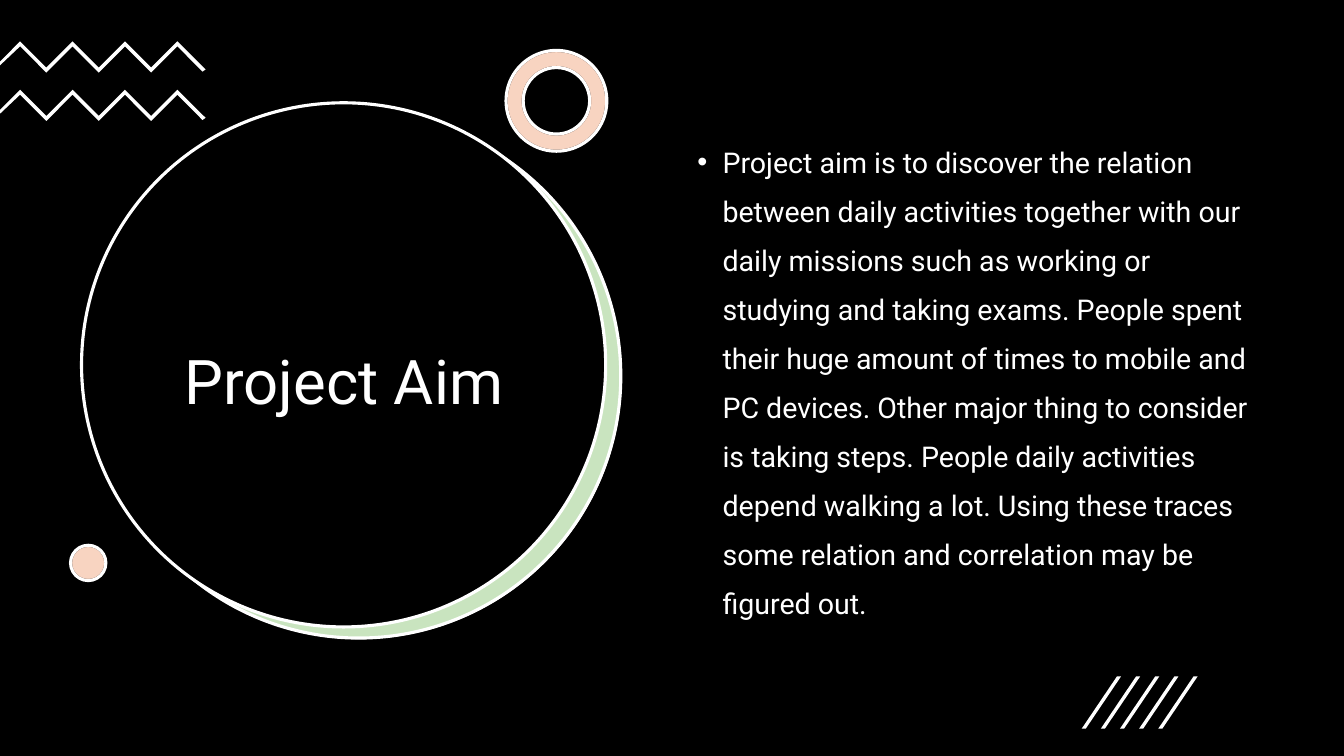
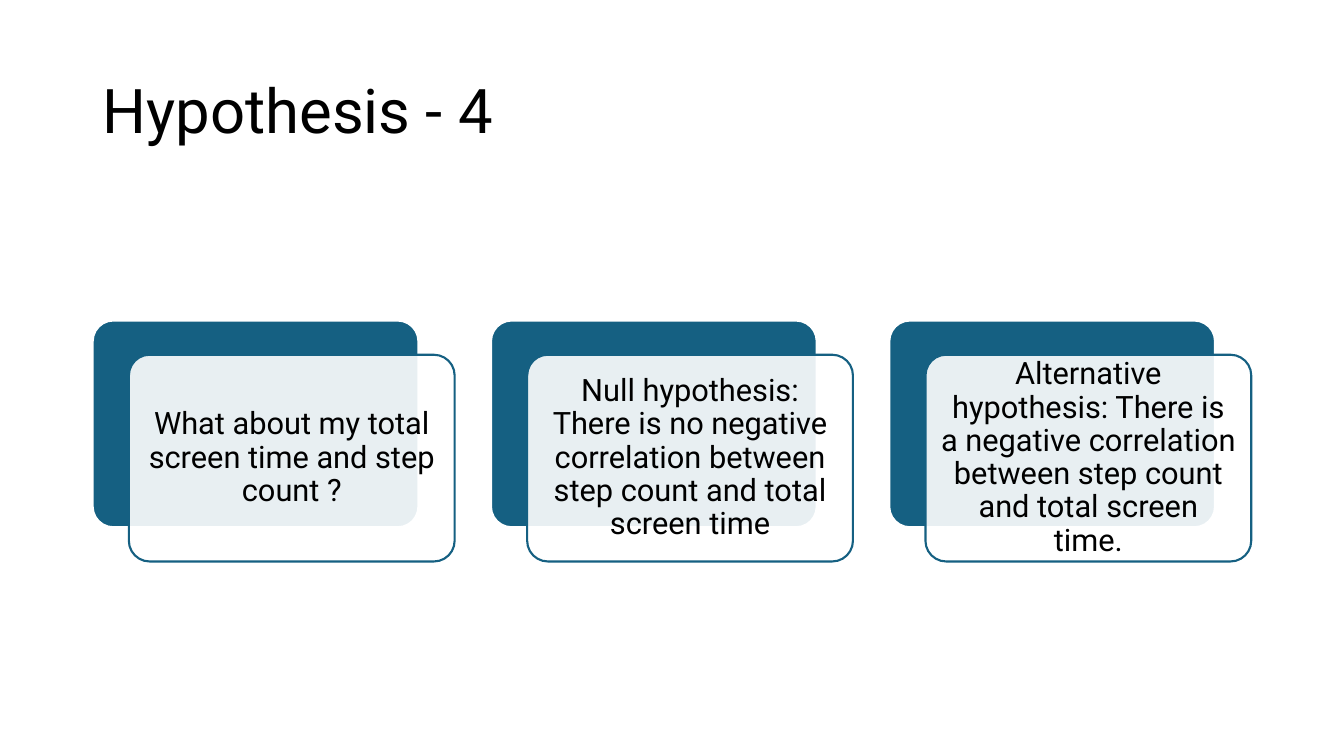
from dataclasses import dataclass

from lxml.etree import SubElement
from pptx import Presentation
from pptx.dml.color import RGBColor
from pptx.enum.shapes import MSO_SHAPE
from pptx.enum.text import MSO_ANCHOR, PP_ALIGN
from pptx.oxml.ns import qn
from pptx.util import Inches, Pt

FONT = "Roboto"
BLACK, WHITE = "000000", "FFFFFF"
BLUE, GREEN, ORANGE = "156082", "4EA72E", "E97132"
OUTLINE = 2.25
TITLE = {"size": 44, "line_spacing": 0.9, "anchor": MSO_ANCHOR.MIDDLE}
AIM = (
    "Project aim is to discover the relation between daily activities together "
    "with our daily missions such as working or studying and taking exams. "
    "People spent their huge amount of times to mobile and PC devices. Other "
    "major thing to consider is taking steps. People daily activities depend "
    "walking a lot. Using these traces some relation and correlation may be "
    "figured out."
)
HYPOTHESES = [
    "What about my total screen time and step count ?",
    "Null hypothesis: There is no negative correlation between step count and total screen time",
    "Alternative hypothesis: There is a negative correlation between step count and total screen time.",
]


@dataclass
class Box:
    """A region in EMU, divided into 100 columns and 100 rows."""

    left: int
    top: int
    width: int
    height: int

    def point(self, column, row):
        """Return the EMU position of a grid point."""
        return (
            round(self.left + self.width * column / 100),
            round(self.top + self.height * row / 100),
        )

    def area(self, column, row, columns, rows):
        """Return the region covering the given columns and rows."""
        size = round(self.width * columns / 100), round(self.height * rows / 100)
        return Box(*self.point(column, row), *size)

    def bounds(self):
        """Return left, top, width and height."""
        return self.left, self.top, self.width, self.height


def color(hex_text):
    """Turn a hex string into a colour."""
    return RGBColor.from_string(hex_text)


def paint(shape, fill, line=None, width=OUTLINE, opacity=100):
    """Give a shape its fill, outline and opacity, without a shadow."""
    shape.shadow.inherit = False
    shape.fill.solid()
    shape.fill.fore_color.rgb = color(fill)
    if opacity < 100:
        tint = shape.element.spPr.find(qn("a:solidFill")).find(qn("a:srgbClr"))
        SubElement(tint, qn("a:alpha"), val=str(opacity * 1000))
    if line:
        shape.line.color.rgb = color(line)
        shape.line.width = Pt(width)
    else:
        shape.line.fill.background()


def add_figure(slide, kind, box, fill, adjustment=None, **style):
    """Add a painted preset shape."""
    shape = slide.shapes.add_shape(kind, *box.bounds())
    if adjustment is not None:
        shape.adjustments[0] = adjustment
    paint(shape, fill, **style)
    return shape


def add_polygon(slide, box, points, fill):
    """Add a closed outline through grid points of the box."""
    start, *others = [box.point(*point) for point in points]
    builder = slide.shapes.build_freeform(*start)
    builder.add_line_segments(others, close=True)
    paint(builder.convert_to_shape(), fill)


def write(shape, text, size, ink=BLACK, align=PP_ALIGN.LEFT, anchor=MSO_ANCHOR.TOP,
          line_spacing=1.0, margin=None, bullet=False):
    """Put formatted text into a shape."""
    frame = shape.text_frame
    frame.word_wrap = True
    frame.vertical_anchor = anchor
    if margin is not None:
        frame.margin_left = frame.margin_right = Inches(margin)
        frame.margin_top = frame.margin_bottom = Inches(margin)
    paragraph = frame.paragraphs[0]
    paragraph.alignment = align
    paragraph.line_spacing = line_spacing
    run = paragraph.add_run()
    run.text = text
    run.font.name = FONT
    run.font.size = Pt(size)
    run.font.color.rgb = color(ink)
    if bullet:
        properties = paragraph._p.get_or_add_pPr()
        properties.set("marL", str(Inches(0.25)))
        properties.set("indent", str(-Inches(0.25)))
        SubElement(properties, qn("a:buFont"), typeface="Arial")
        SubElement(properties, qn("a:buChar"), char="•")


def add_text(slide, box, text, **style):
    """Add a text box."""
    write(slide.shapes.add_textbox(*box.bounds()), text, **style)


def add_pastel(slide, kind, box, adjustment=None):
    """Add a translucent orange figure on a white base."""
    add_figure(slide, kind, box, WHITE, adjustment, line=BLACK)
    add_figure(slide, kind, box, ORANGE, adjustment, line=WHITE, opacity=30)


def add_title_disc(slide, box, title):
    """Draw the black disc with its green crescent and the title."""
    discs = [
        (2.99, 2.26, WHITE, {}),
        (2.8, 2.07, GREEN, {"line": WHITE, "opacity": 30}),
        (0, 0, BLACK, {"line": WHITE}),
    ]
    for column, row, fill, style in discs:
        disc = box.area(column, row, 97.01, 97.74)
        add_figure(slide, MSO_SHAPE.OVAL, disc, fill, **style)
    add_text(slide, box.area(7.46, 19.36, 82.28, 66.17), title,
             ink=WHITE, align=PP_ALIGN.CENTER, **TITLE)


def add_zigzags(slide, box):
    """Draw two zigzag bands, one above the other."""
    corners = [(9.8 + 12.75 * index, 84 * (index % 2)) for index in range(7)]
    lower = [(column, row + 16) for column, row in reversed(corners)]
    outline = [*corners, (100, 90), (98.5, 97), *lower, (0, 77), (0, 65)]
    for row in (0, 60.76):
        add_polygon(slide, box.area(0, row, 100, 39.24), outline, WHITE)


def add_stripes(slide, box, count=5):
    """Draw a row of slanted stripes."""
    for index in range(count):
        left = 16.5 * index
        outline = [(left + 3.5, 100), (left, 100), (left + 30.5, 0), (left + 34, 0)]
        add_polygon(slide, box, outline, WHITE)


def add_card(slide, box, text):
    """Draw a blue card with a translucent text card over it."""
    add_figure(slide, MSO_SHAPE.ROUNDED_RECTANGLE, box.area(0, 0, 90, 85.8),
               BLUE, 0.1, line=WHITE, width=1.5)
    front = add_figure(slide, MSO_SHAPE.ROUNDED_RECTANGLE, box.area(10, 14.2, 90, 85.8),
                       WHITE, 0.1, line=BLUE, width=1.5, opacity=90)
    write(front, text, 22, align=PP_ALIGN.CENTER, anchor=MSO_ANCHOR.MIDDLE,
          line_spacing=0.9, margin=0.09)


def add_cards(slide, box, texts):
    """Set the cards in equal steps across the box."""
    for index, text in enumerate(texts):
        add_card(slide, box.area(34.38 * index, 0, 31.24, 100), text)


def build_aim_slide(slide, page):
    """Build the dark slide with the project aim."""
    slide.background.fill.solid()
    slide.background.fill.fore_color.rgb = color(BLACK)
    add_title_disc(slide, page.area(6.07, 13.6, 40.2, 70.93), "Project Aim")
    add_zigzags(slide, page.area(0, 5.47, 15.3, 10.53))
    add_pastel(slide, MSO_SHAPE.DONUT, page.area(37.65, 6.67, 7.5, 13.33), 0.17)
    add_pastel(slide, MSO_SHAPE.OVAL, page.area(5.25, 72.13, 2.63, 4.67))
    add_text(slide, page.area(51.15, 16.53, 42.83, 63.47), AIM, size=20.4,
             ink=WHITE, line_spacing=1.43, bullet=True)
    add_stripes(slide, page.area(80.48, 89.47, 8.63, 6.93))


def build_hypothesis_slide(slide, page):
    """Build the light slide with the three hypothesis cards."""
    add_text(slide, page.area(6.9, 5.33, 86.25, 19.33), "Hypothesis - 4", **TITLE)
    add_cards(slide, page.area(6.9, 42.4, 86.2, 31.87), HYPOTHESES)


def main():
    """Build and save the presentation."""
    presentation = Presentation()
    presentation.slide_width = Inches(13.33)
    presentation.slide_height = Inches(7.5)
    page = Box(0, 0, presentation.slide_width, presentation.slide_height)
    for build in (build_aim_slide, build_hypothesis_slide):
        build(presentation.slides.add_slide(presentation.slide_layouts[6]), page)
    presentation.save("out.pptx")


if __name__ == "__main__":
    main()
